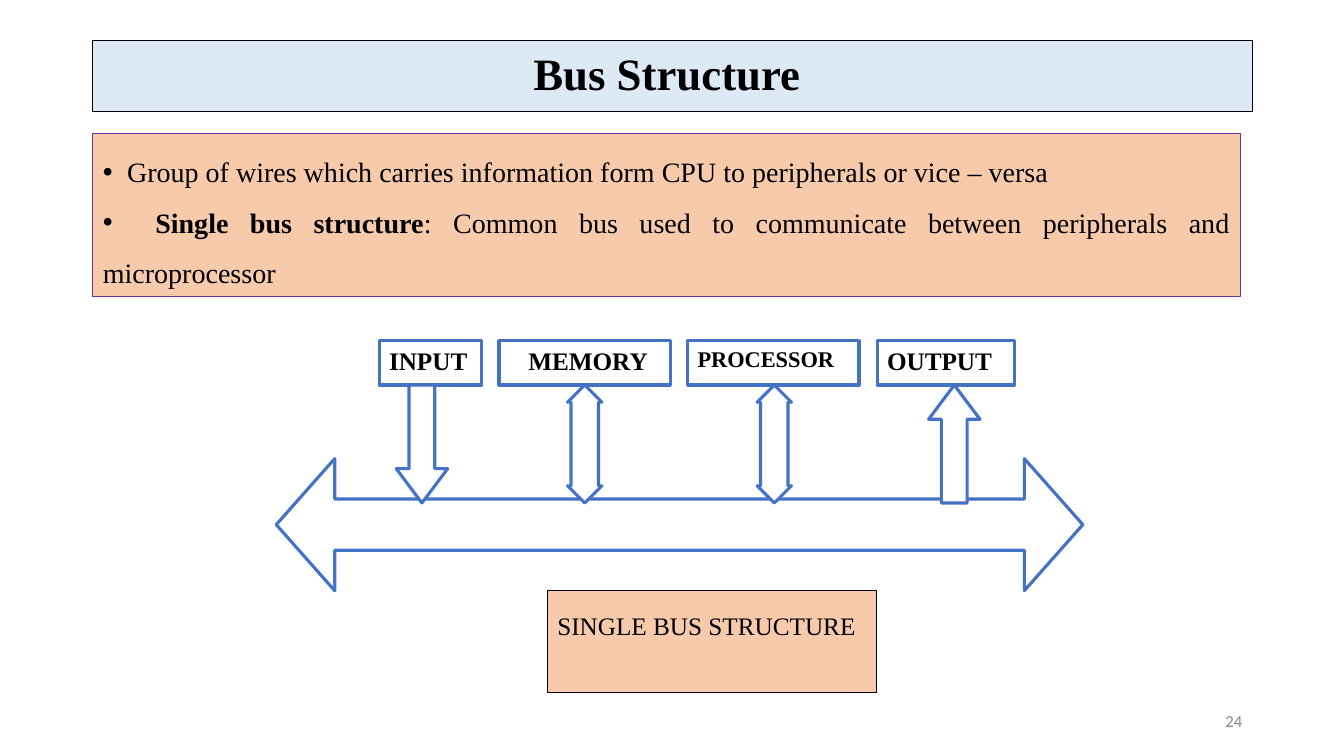
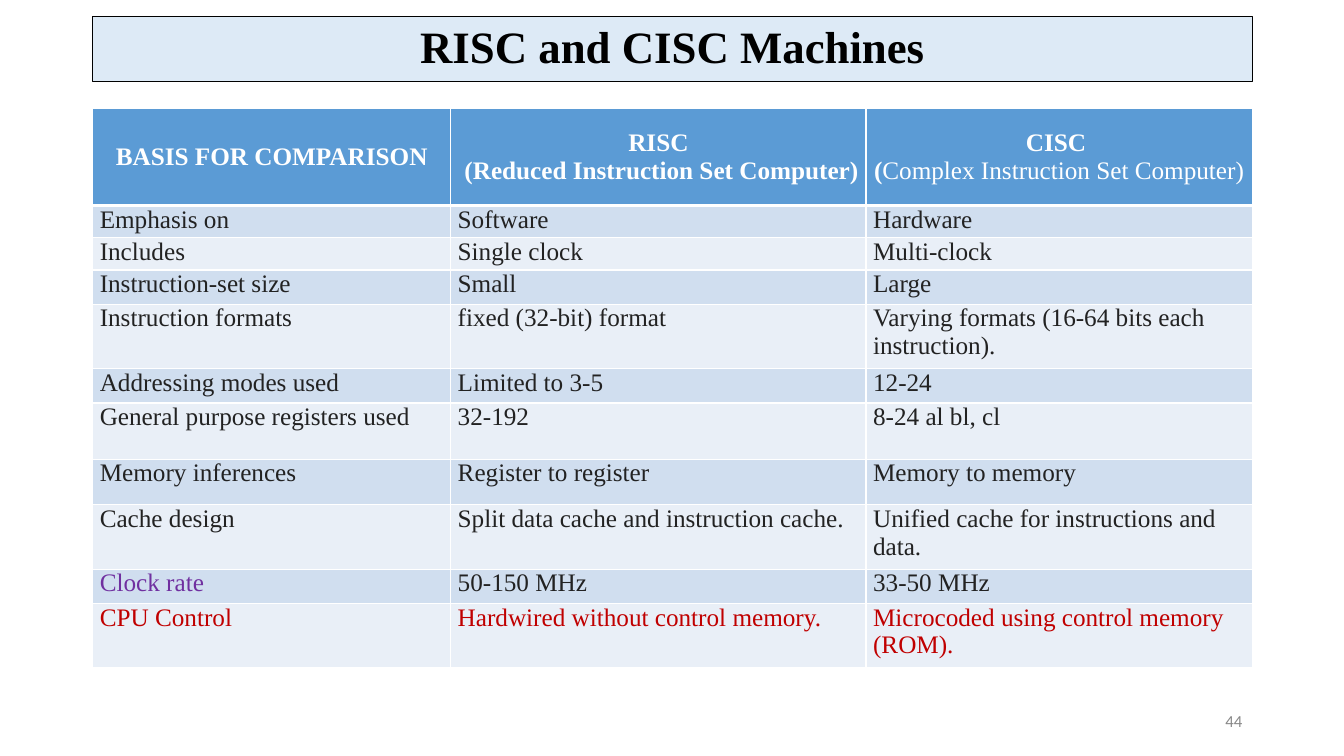
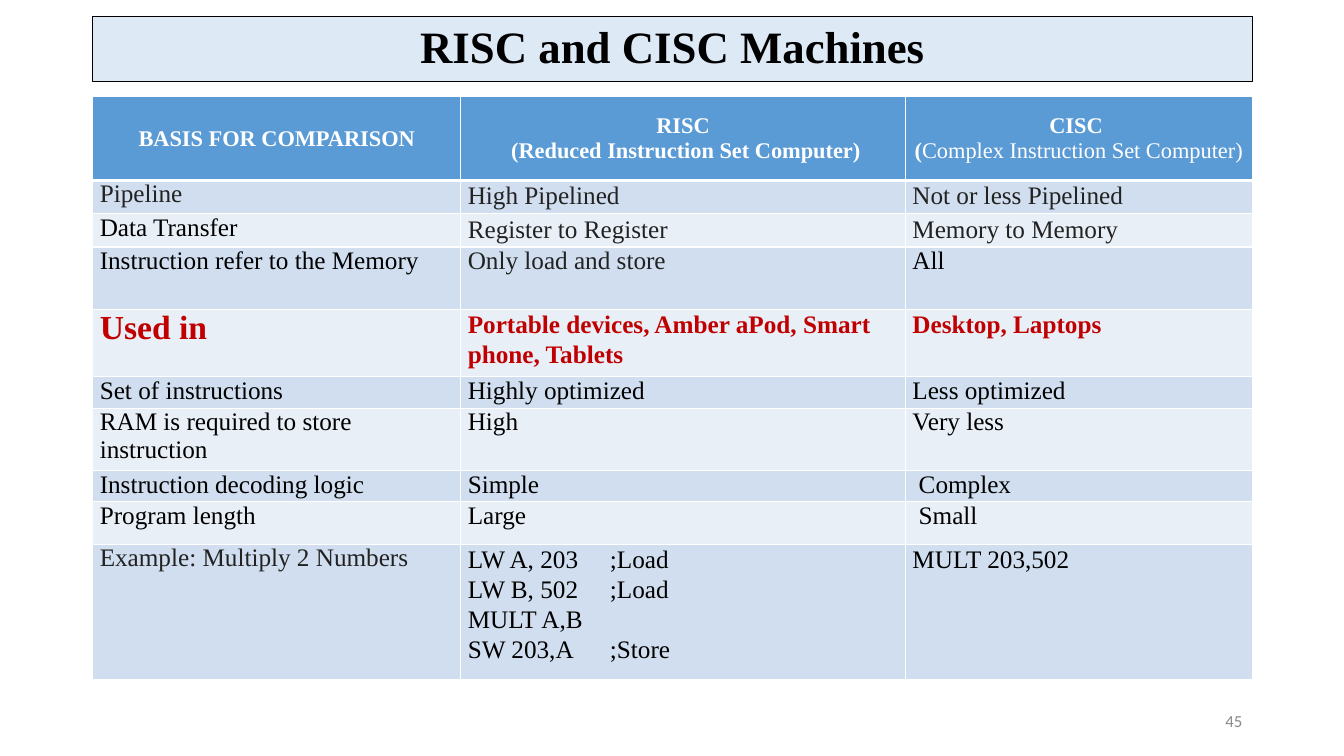
"""Build three slides on bus structure and on RISC and CISC machines."""
from lxml import etree
from pptx import Presentation
from pptx.dml.color import RGBColor
from pptx.enum import shapes, text as txt
from pptx.oxml import ns
from pptx.util import Inches, Pt

BLACK = RGBColor(0x00, 0x00, 0x00)
WHITE = RGBColor(0xFF, 0xFF, 0xFF)
DARK = RGBColor(0x22, 0x22, 0x22)
GRAY = RGBColor(0x88, 0x88, 0x88)
RED = RGBColor(0xC0, 0x00, 0x00)
PURPLE = RGBColor(0x70, 0x30, 0xA0)
SKY = RGBColor(0xDD, 0xEA, 0xF6)
PEACH = RGBColor(0xF7, 0xCA, 0xAC)
BLUE = RGBColor(0x44, 0x72, 0xC4)
HEAD = RGBColor(0x5B, 0x9B, 0xD5)
BANDS = [RGBColor(0xE9, 0xEF, 0xF7), RGBColor(0xD0, 0xDE, 0xEF)]
FONT = "Times New Roman"
LEFT, WIDE = 0.92, 11.5

ALIGN = txt.PP_ALIGN
TOP, MID = txt.MSO_ANCHOR.TOP, txt.MSO_ANCHOR.MIDDLE
KIND = shapes.MSO_SHAPE


def write(frame, words, size=18, color=BLACK, bold=False, font=FONT,
          align=ALIGN.LEFT, space=1.0, anchor=TOP, tabs=()):
    """Fill a frame, one paragraph a line; the part before a bar is bold."""
    frame.word_wrap = True
    frame.vertical_anchor = anchor
    for row, line in enumerate(words.split("\n")):
        par = frame.add_paragraph() if row else frame.paragraphs[0]
        par.alignment, par.line_spacing = align, space
        par.space_before = Pt(0)
        lead, bar, rest = line.partition("|")
        for part, heavy in ((lead, bold or bool(bar)), (rest, False)):
            if part:
                run = par.add_run()
                run.text = part
                run.font.size, run.font.name = Pt(size), font
                run.font.bold, run.font.color.rgb = heavy, color
        if tabs:
            stops = etree.SubElement(par._p.get_or_add_pPr(), ns.qn("a:tabLst"))
            stop = tabs[row % len(tabs)]
            etree.SubElement(stops, ns.qn("a:tab"), pos=str(Inches(stop)), algn="l")


def dress(shape, fill, line, width=0.75, at=None):
    """Set fill, outline and, where given, the place of a shape."""
    shape.fill.solid()
    shape.fill.fore_color.rgb = fill
    shape.line.color.rgb = line
    shape.line.width = Pt(width)
    if at:
        shape.left, shape.top, shape.width, shape.height = map(Inches, at)
    else:
        shape.shadow.inherit = False


deck = Presentation()
deck.slide_width, deck.slide_height = Inches(13.33), Inches(7.5)

pages = []
for name, page, top, high, kind in [
    ("Bus Structure ", "24", 0.4, 0.71, 1),
    ("RISC and CISC Machines", "44", 0.16, 0.65, 5),
    ("RISC and CISC Machines", "45", 0.16, 0.65, 5),
]:
    slide = deck.slides.add_slide(deck.slide_layouts[kind])
    title = slide.shapes.title
    dress(title, SKY, BLACK, at=(LEFT, top, WIDE, high))
    title.text_frame.auto_size = txt.MSO_AUTO_SIZE.NONE
    write(title.text_frame, name, size=32, bold=True, align=ALIGN.CENTER,
          space=0.9, anchor=MID)
    foot = slide.shapes.add_textbox(Inches(9.42), Inches(6.95), Inches(3), Inches(0.4))
    write(foot.text_frame, page, size=12, color=GRAY, font="Calibri",
          align=ALIGN.RIGHT, anchor=MID)
    pages.append(slide)

slide = pages[0]
body = slide.placeholders[1]
dress(body, PEACH, PURPLE, at=(LEFT, 1.32, 11.38, 1.62))
body.text_frame.auto_size = txt.MSO_AUTO_SIZE.NONE
write(body.text_frame,
      "\tGroup of wires which carries information form CPU to peripherals or vice – versa\n"
      "\tSingle bus structure|: Common bus used to communicate between peripherals and microprocessor",
      size=20, align=ALIGN.JUSTIFY, space=1.5, tabs=(0.24, 0.52))
for par in body.text_frame.paragraphs:
    props = par._p.get_or_add_pPr()
    props.set("marL", "0")
    props.set("indent", "0")
    mark = etree.Element(ns.qn("a:buChar"), char="•")
    props.find(ns.qn("a:tabLst")).addprevious(mark)

group = slide.shapes.add_group_shape()
bus = group.shapes.add_shape(KIND.LEFT_RIGHT_ARROW, Inches(2.74), Inches(4.55),
                             Inches(8), Inches(1.31))
bus.adjustments[0], bus.adjustments[1] = 0.389, 0.443
dress(bus, WHITE, BLUE, 2.25)
for name, left, wide, size, inset, kind, start, thick, tip in [
    ("INPUT", 3.76, 1.02, 18, 0.1, KIND.DOWN_ARROW, 3.93, 0.51, 0.667),
    ("MEMORY", 4.95, 1.7, 18, 0.29, KIND.UP_DOWN_ARROW, 5.63, 0.34, 0.8),
    ("PROCESSOR", 6.82, 1.7, 16, 0.1, KIND.UP_DOWN_ARROW, 7.51, 0.34, 0.8),
    ("OUTPUT", 8.7, 1.36, 18, 0.1, KIND.UP_ARROW, 9.21, 0.51, 0.667),
]:
    unit = group.shapes.add_shape(KIND.RECTANGLE, Inches(left), Inches(3.38),
                                  Inches(wide), Inches(0.44))
    dress(unit, WHITE, BLUE, 2.25)
    unit.text_frame.margin_left = Inches(inset)
    write(unit.text_frame, name, size=size, bold=True)
    arrow = group.shapes.add_shape(kind, Inches(start), Inches(3.82),
                                   Inches(thick), Inches(1.17))
    arrow.adjustments[0], arrow.adjustments[1] = 0.5, tip
    dress(arrow, WHITE, BLUE, 2.25)

label = slide.shapes.add_shape(KIND.RECTANGLE, Inches(5.43), Inches(5.86),
                               Inches(3.26), Inches(1.01))
dress(label, PEACH, BLACK)
write(label.text_frame, "SINGLE BUS STRUCTURE", space=1.5)

STYLES = {
    "k": dict(color=BLACK),
    "d": dict(color=DARK),
    "p": dict(color=PURPLE),
    "r": dict(color=RED),
    "b": dict(color=RED, bold=True),
    "B": dict(color=RED, bold=True, size=24),
}
HEADS = ("BASIS FOR COMPARISON",
         "RISC\n (Reduced Instruction Set Computer)",
         "CISC |\n(|Complex Instruction Set Computer)")
BASIC = [
    (0.32, "ddd", "Emphasis on", "Software", "Hardware"),
    (0.32, "ddd", "Includes", "Single clock", "Multi-clock"),
    (0.34, "ddd", "Instruction-set size", "Small", "Large"),
    (0.64, "ddd", "Instruction formats", "fixed (32-bit) format",
     "Varying formats (16-64 bits each instruction)."),
    (0.34, "ddd", "Addressing modes used", "Limited to 3-5", "12-24"),
    (0.56, "ddd", "General purpose registers used", "32-192", "8-24 al bl, cl"),
    (0.45, "ddd", "Memory inferences", "Register to register", "Memory to memory"),
    (0.64, "ddd", "Cache design", "Split data cache and instruction cache.",
     "Unified cache for instructions and data."),
    (0.34, "pdd", "Clock rate", "50-150 MHz", "33-50 MHz"),
    (0.64, "rrr", "CPU Control", "Hardwired without control memory.",
     "Microcoded using control memory (ROM)."),
]
USAGE = [
    (0.33, "ddd", "Pipeline", "High Pipelined", "Not or less Pipelined"),
    (0.33, "kdd", "Data Transfer", "Register to Register", "Memory to Memory"),
    (0.62, "kdk", "Instruction refer to the Memory", "Only load and store", "All"),
    (0.67, "Bbb", "Used in", "Portable devices, Amber aPod, Smart phone, Tablets",
     "Desktop, Laptops"),
    (0.31, "kkk", "Set of instructions", "Highly optimized", "Less optimized"),
    (0.62, "kkk", "RAM is required to store instruction", "High", "Very less"),
    (0.31, "kkk", "Instruction decoding logic", "Simple", " Complex"),
    (0.42, "kkk", "Program length", "Large", " Small"),
    (1.34, "dkk", "Example: Multiply 2 Numbers",
     "LW A, 203\t;Load\nLW B, 502\t;Load\nMULT A,B\nSW 203,A\t;Store", "MULT 203,502"),
]

for slide, top, cols, tall, size, rows, loose in [
    (pages[1], 1.08, (3.55, 4.12, 3.83), 0.96, 18, BASIC, ()),
    (pages[2], 0.96, (3.65, 4.41, 3.44), 0.83, 16, USAGE, (1, 2, 4, 9)),
]:
    rows = [(tall, "", *HEADS)] + rows
    high = sum(row[0] for row in rows)
    table = slide.shapes.add_table(len(rows), 3, Inches(LEFT), Inches(top),
                                   Inches(WIDE), Inches(high)).table
    for col, wide in enumerate(cols):
        table.columns[col].width = Inches(wide)
    for r, (high, inks, *words) in enumerate(rows):
        table.rows[r].height = Inches(high)
        for c, word in enumerate(words):
            cell = table.cell(r, c)
            cell.margin_left = cell.margin_right = Inches(0.07)
            cell.margin_top = cell.margin_bottom = 0
            props = cell._tc.get_or_add_tcPr()
            for side in "LRTB":
                thick = 3 if (r, side) in ((0, "B"), (1, "T")) else 1
                edge = etree.SubElement(props, ns.qn("a:ln" + side), w=str(Pt(thick)))
                fill = etree.SubElement(edge, ns.qn("a:solidFill"))
                etree.SubElement(fill, ns.qn("a:srgbClr"), val=str(WHITE))
            cell.fill.solid()
            cell.fill.fore_color.rgb = BANDS[r % 2] if r else HEAD
            if r:
                write(cell.text_frame, word, space=1.07 if c and r in loose else 1.0,
                      tabs=(1.41,) if "\t" in word else (), **STYLES[inks[c]])
            else:
                cell.vertical_anchor = MID
                write(cell.text_frame, word, size=size, color=WHITE, bold=True,
                      align=ALIGN.CENTER, anchor=MID)

deck.save("out.pptx")
